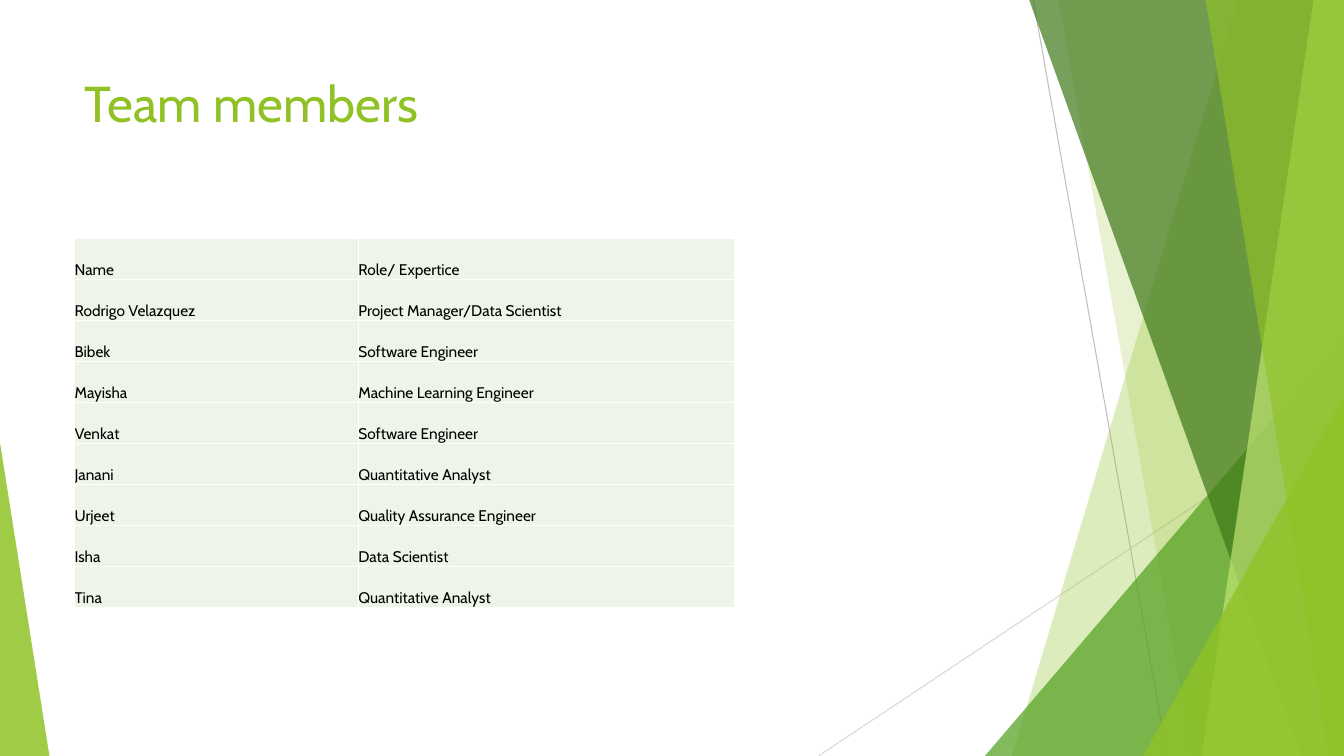
import pptx
import pptx.util
import pptx.dml.color
import pptx.enum.shapes
import pptx.enum.text
import pptx.oxml
import pptx.oxml.ns
import lxml.etree

RGB = pptx.dml.color.RGBColor
LIME = RGB(0x90, 0xC2, 0x26)
GREEN = RGB(0x54, 0xA0, 0x21)
DARK = RGB(0x3F, 0x78, 0x19)
PALE = RGB(0xC0, 0xE4, 0x74)
GREY = RGB(0xBF, 0xBF, 0xBF)
SILVER = RGB(0xD9, 0xD9, 0xD9)
TINT = RGB(0xEE, 0xF4, 0xE8)
BLACK = RGB(0, 0, 0)
WHITE = RGB(0xFF, 0xFF, 0xFF)
FONT = "Cabin"
WIDE = pptx.util.Inches(13.33)
HIGH = pptx.util.Inches(7.5)
COL = WIDE / 100
ROW = HIGH / 100
TEAM = [
    ("Name", "Role/ Expertice"),
    ("Rodrigo Velazquez", "Project Manager/Data Scientist"),
    ("Bibek", "Software Engineer"),
    ("Mayisha", "Machine Learning Engineer"),
    ("Venkat", "Software Engineer"),
    ("Janani", "Quantitative Analyst"),
    ("Urjeet", "Quality Assurance Engineer"),
    ("Isha", "Data Scientist"),
    ("Tina", "Quantitative Analyst"),
]


def place(x, y):
    """Turn grid columns and rows into slide lengths."""
    return round(x * COL), round(y * ROW)


def tag(name, **attrs):
    """Make one drawing element."""
    item = pptx.oxml.parse_xml(f"<a:{name} {pptx.oxml.ns.nsdecls('a')}/>")
    for key, val in attrs.items():
        item.set(key, str(val))
    return item


def paint(shape, color, alpha):
    """Fill a shape with a see-through colour."""
    shape.shadow.inherit = False
    shape.line.fill.background()
    shape.fill.solid()
    shape.fill.fore_color.rgb = color
    tint = shape.fill._xPr.find(".//" + pptx.oxml.ns.qn("a:srgbClr"))
    tint.append(tag("alpha", val=alpha * 1000))


def ray(slide, start, end, color):
    """Draw a thin line."""
    kind = pptx.enum.shapes.MSO_CONNECTOR.STRAIGHT
    line = slide.shapes.add_connector(kind, *place(*start), *place(*end))
    line.line.color.rgb = color
    line.line.width = pptx.util.Pt(0.75)
    line._element.spPr.append(tag("effectLst"))


def blade(slide, box, top, foot, color, alpha):
    """Draw a slanted band that ends at the right edge of the box."""
    x, y, w, h = box
    pen = slide.shapes.build_freeform(*place(x + top, y))
    spots = [(x + w, y), (x + w, y + h), (x + foot, y + h)]
    pen.add_line_segments([place(*spot) for spot in spots], close=True)
    paint(pen.convert_to_shape(), color, alpha)


def wedge(slide, box, tip, color, alpha):
    """Draw a triangle that fills the box, its tip at a share of the width."""
    x, y, w, h = box
    kind = pptx.enum.shapes.MSO_SHAPE.ISOSCELES_TRIANGLE
    shape = slide.shapes.add_shape(kind, *place(x, y), *place(w, h))
    shape.adjustments[0] = tip
    paint(shape, color, alpha)


def facets(slide, box):
    """Draw the layered green bands on the right."""
    x, y, w, h = box
    ray(slide, (x + 16.88, y), (x + 26.85, y + h), GREY)
    ray(slide, (x + w, y + 53.73), (x + 0.9, y + h), SILVER)
    blade(slide, box, 32.1, 15.3, LIME, 30)
    blade(slide, box, 18.75, 28.73, LIME, 20)
    wedge(slide, (x + 13.28, y + 44.4, w - 13.28, h - 44.4), 1, GREEN, 72)
    for top, foot, color, alpha in [
        (16.58, 36.83, DARK, 70),
        (37.73, 29.4, PALE, 70),
        (29.7, 38.85, LIME, 65),
    ]:
        blade(slide, box, top, foot, color, alpha)
    wedge(slide, (x + 25.05, y + 52.4, w - 25.05, h - 52.4), 1, LIME, 80)


def write(frame, text, size, color):
    """Add one left-aligned run of text."""
    para = frame.paragraphs[0]
    para.alignment = pptx.enum.text.PP_ALIGN.LEFT
    run = para.add_run()
    run.text = text
    run.font.name = FONT
    run.font.size = pptx.util.Pt(size)
    run.font.bold = False
    run.font.color.rgb = color


def head(slide, box, text):
    """Set the slide title."""
    title = slide.shapes.title
    title.left, title.top = place(*box[:2])
    title.width, title.height = place(*box[2:])
    frame = title.text_frame
    frame.word_wrap = True
    frame.auto_size = pptx.enum.text.MSO_AUTO_SIZE.NONE
    frame.vertical_anchor = pptx.enum.text.MSO_ANCHOR.TOP
    write(frame, text, 36, LIME)


def edge(cell):
    """Give a cell thin white borders."""
    props = cell._tc.get_or_add_tcPr()
    for spot, side in enumerate(("lnL", "lnR", "lnT", "lnB")):
        line = tag(side, w=pptx.util.Pt(1))
        fill = tag("solidFill")
        fill.append(tag("srgbClr", val=WHITE))
        line.append(fill)
        props.insert(spot, line)


def roster(slide, box, team):
    """Draw the table of names and roles."""
    x, y, w, h = box
    shape = slide.shapes.add_table(len(team), 2, *place(x, y), *place(w, h))
    table = shape.table
    table.first_row = table.horz_banding = False
    for col, part in zip(table.columns, (0.43, 0.57)):
        col.width = round(w * part * COL)
    for row, words in zip(table.rows, team):
        row.height = round(h * ROW / len(team))
        for cell, text in zip(row.cells, words):
            cell.margin_left = cell.margin_right = 0
            cell.margin_top = cell.margin_bottom = 0
            cell.vertical_anchor = pptx.enum.text.MSO_ANCHOR.BOTTOM
            cell.fill.solid()
            cell.fill.fore_color.rgb = TINT
            edge(cell)
            write(cell.text_frame, text, 11, BLACK)


def main():
    """Build and save the slide."""
    deck = pptx.Presentation()
    deck.slide_width, deck.slide_height = WIDE, HIGH
    slide = deck.slides.add_slide(deck.slide_layouts[5])
    facets(slide, (60, 0, 40, 100))
    wedge(slide, (0, 58.53, 3.68, 41.47), 0, LIME, 85)
    head(slide, (5.55, 8.93, 70.5, 19.2), "Team members")
    roster(slide, (5.55, 31.5, 49.1, 48.9), TEAM)
    deck.save("out.pptx")


if __name__ == "__main__":
    main()
